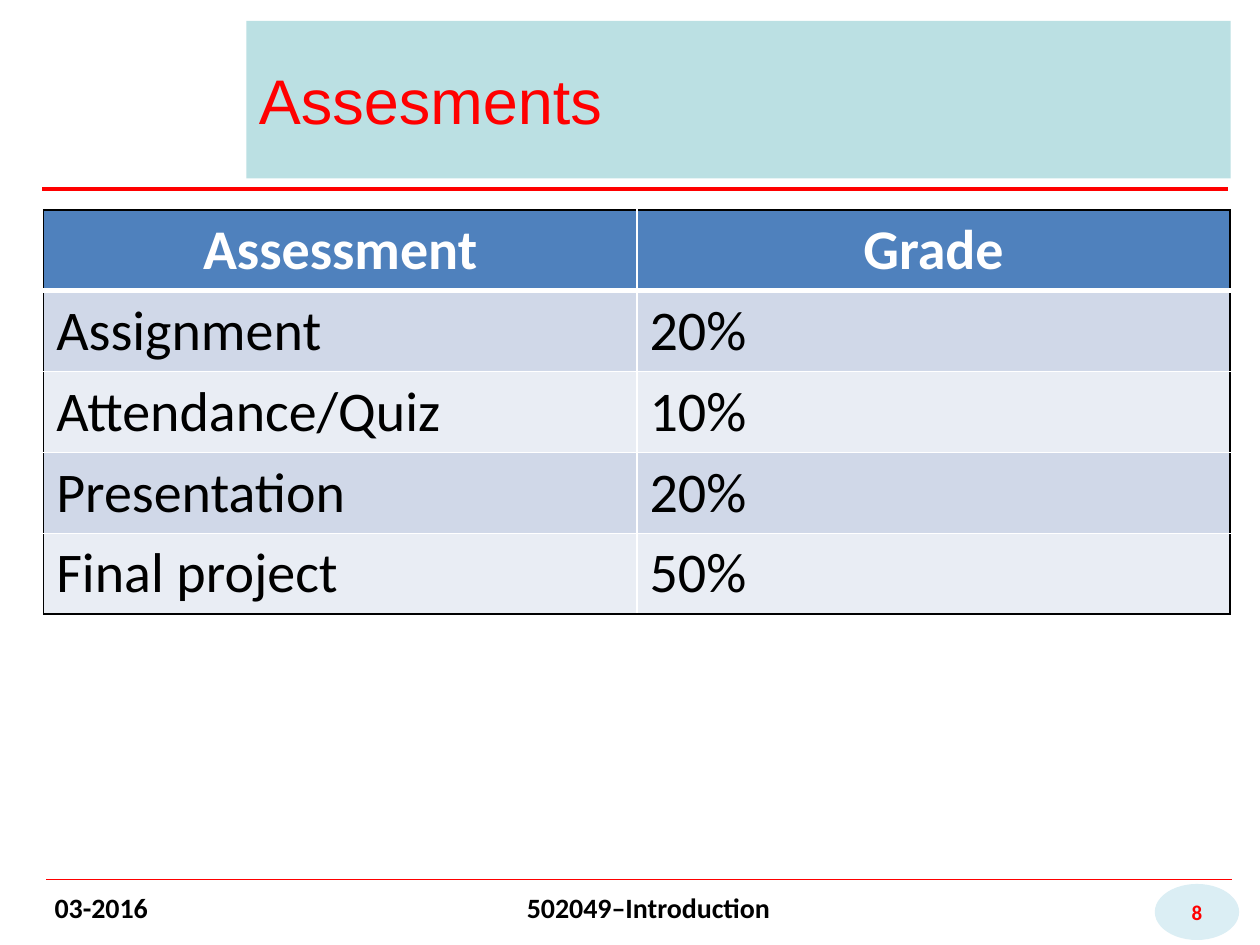
from lxml import etree
from pptx import Presentation
from pptx.dml.color import RGBColor
from pptx.enum.shapes import MSO_CONNECTOR, MSO_SHAPE
from pptx.enum.text import MSO_ANCHOR, MSO_AUTO_SIZE, PP_ALIGN
from pptx.oxml.ns import qn
from pptx.util import Cm, Pt

STRAIGHT = MSO_CONNECTOR.STRAIGHT
RECTANGLE, OVAL = MSO_SHAPE.RECTANGLE, MSO_SHAPE.OVAL
LEFT, CENTER = PP_ALIGN.LEFT, PP_ALIGN.CENTER
MIDDLE = MSO_ANCHOR.MIDDLE
FIT_TEXT = MSO_AUTO_SIZE.SHAPE_TO_FIT_TEXT

RED = RGBColor(0xFF, 0x00, 0x00)
BLACK = RGBColor(0x00, 0x00, 0x00)
WHITE = RGBColor(0xFF, 0xFF, 0xFF)
TITLE_TEAL = RGBColor(0xBB, 0xE0, 0xE3)
BADGE_BLUE = RGBColor(0xDB, 0xEE, 0xF4)
HEADER_BLUE = RGBColor(0x4F, 0x81, 0xBD)
BANDS = [RGBColor(0xD0, 0xD8, 0xE8), RGBColor(0xE9, 0xED, 0xF4)]

# Content
GRADES = [
    ("Assessment", "Grade"),
    ("Assignment", "20%"),
    ("Attendance/Quiz", "10%"),
    ("Presentation", "20%"),
    ("Final project", "50%"),
]
# Left, top, width, height in cm
TITLE = ("Assesments", (4.97, 0.42, 19.84, 3.18))
PAGE_NUMBER = ("8", (23.28, 17.82, 1.7, 1.13))
FOOTERS = [
    ("03-2016", (0.85, 17.82, 3.39, 0.94)),
    ("502049–Introduction", (10.37, 17.82, 6.35, 0.94)),
]
# Start x, end x, y in cm, width in points
RULES = [(0.85, 24.76, 3.81, 2.75), (0.93, 24.84, 17.73, 1)]
TABLE_LEFT, TABLE_TOP = 0.88, 4.23
COLUMN_WIDTH, ROW_HEIGHT = 11.96, 1.63

# Text formats
TITLE_FONT = {"name": "Arial", "size": Pt(36), "bold": False}
BADGE_FONT = {"name": "Calibri", "size": Pt(12), "bold": True}
FOOTER_FONT = {"name": "Calibri", "size": Pt(16), "bold": True}
HEADER_FONT = {"name": "Calibri", "size": Pt(32), "bold": True}
BODY_FONT = {**HEADER_FONT, "bold": False}


def write(frame, text, font, color, align=LEFT):
    paragraph = frame.paragraphs[0]
    paragraph.alignment = align
    run = paragraph.add_run()
    run.text = text
    for attribute, value in font.items():
        setattr(run.font, attribute, value)
    run.font.color.rgb = color


def add_panel(slide, kind, content, fill, font, align):
    text, box = content
    panel = slide.shapes.add_shape(kind, *map(Cm, box))
    panel.shadow.inherit = False
    panel.fill.solid()
    panel.fill.fore_color.rgb = fill
    panel.line.fill.background()
    panel.text_frame.vertical_anchor = MIDDLE
    write(panel.text_frame, text, font, RED, align)


def add_rule(slide, start, end, y, width):
    rule = slide.shapes.add_connector(STRAIGHT, Cm(start), Cm(y), Cm(end), Cm(y))
    rule.line.color.rgb = RED
    rule.line.width = Pt(width)
    etree.SubElement(rule._element.spPr, qn("a:effectLst"))


def add_border(cell, side, color, width):
    border = etree.SubElement(cell._tc.get_or_add_tcPr(), qn(f"a:ln{side}"), w=str(Pt(width)))
    fill = etree.SubElement(border, qn("a:solidFill"))
    etree.SubElement(fill, qn("a:srgbClr"), val=str(color))


def add_grades(slide):
    last_row, last_column = len(GRADES) - 1, len(GRADES[0]) - 1
    table = slide.shapes.add_table(
        last_row + 1, last_column + 1, Cm(TABLE_LEFT), Cm(TABLE_TOP),
        Cm(COLUMN_WIDTH * (last_column + 1)), Cm(ROW_HEIGHT * (last_row + 1)),
    ).table
    for column in table.columns:
        column.width = Cm(COLUMN_WIDTH)
    for r, row in enumerate(GRADES):
        table.rows[r].height = Cm(ROW_HEIGHT)
        header = r == 0
        for c, text in enumerate(row):
            cell = table.cell(r, c)
            # Black around the outside, white between cells
            outer = {"L": c == 0, "R": c == last_column, "T": header, "B": r == last_row}
            for side, outside in outer.items():
                thick = (r, side) in ((0, "B"), (1, "T"))
                add_border(cell, side, BLACK if outside else WHITE, 3 if thick else 1)
            cell.fill.solid()
            cell.fill.fore_color.rgb = HEADER_BLUE if header else BANDS[(r - 1) % 2]
            write(cell.text_frame, text, HEADER_FONT if header else BODY_FONT,
                  WHITE if header else BLACK, CENTER if header else LEFT)


def main():
    deck = Presentation()
    deck.slide_width, deck.slide_height = Cm(25.4), Cm(19.05)
    slide = deck.slides.add_slide(deck.slide_layouts[6])

    # Rules and footer
    for rule in RULES:
        add_rule(slide, *rule)
    add_panel(slide, OVAL, PAGE_NUMBER, BADGE_BLUE, BADGE_FONT, CENTER)
    for text, box in FOOTERS:
        footer = slide.shapes.add_textbox(*map(Cm, box)).text_frame
        footer.word_wrap = True
        footer.auto_size = FIT_TEXT
        write(footer, text, FOOTER_FONT, BLACK)

    # Title and grades
    add_panel(slide, RECTANGLE, TITLE, TITLE_TEAL, TITLE_FONT, LEFT)
    add_grades(slide)
    deck.save("out.pptx")


if __name__ == "__main__":
    main()
